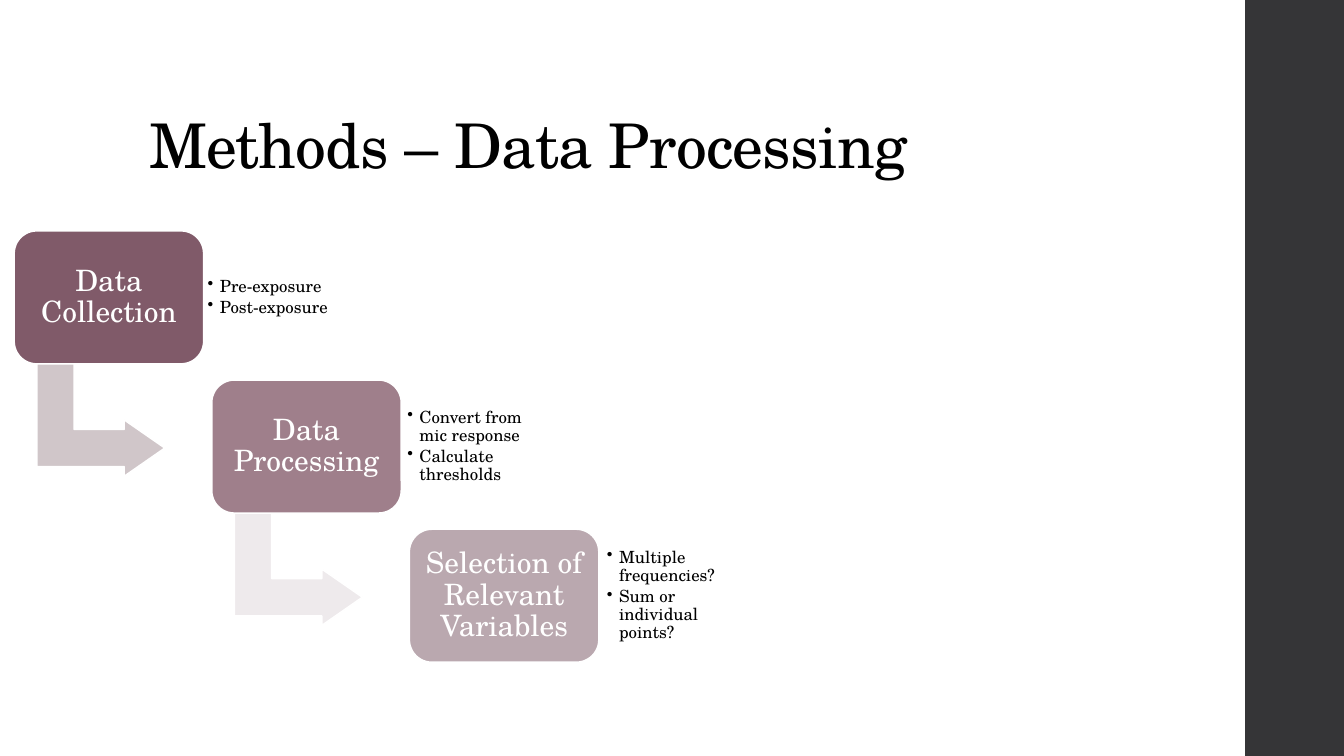
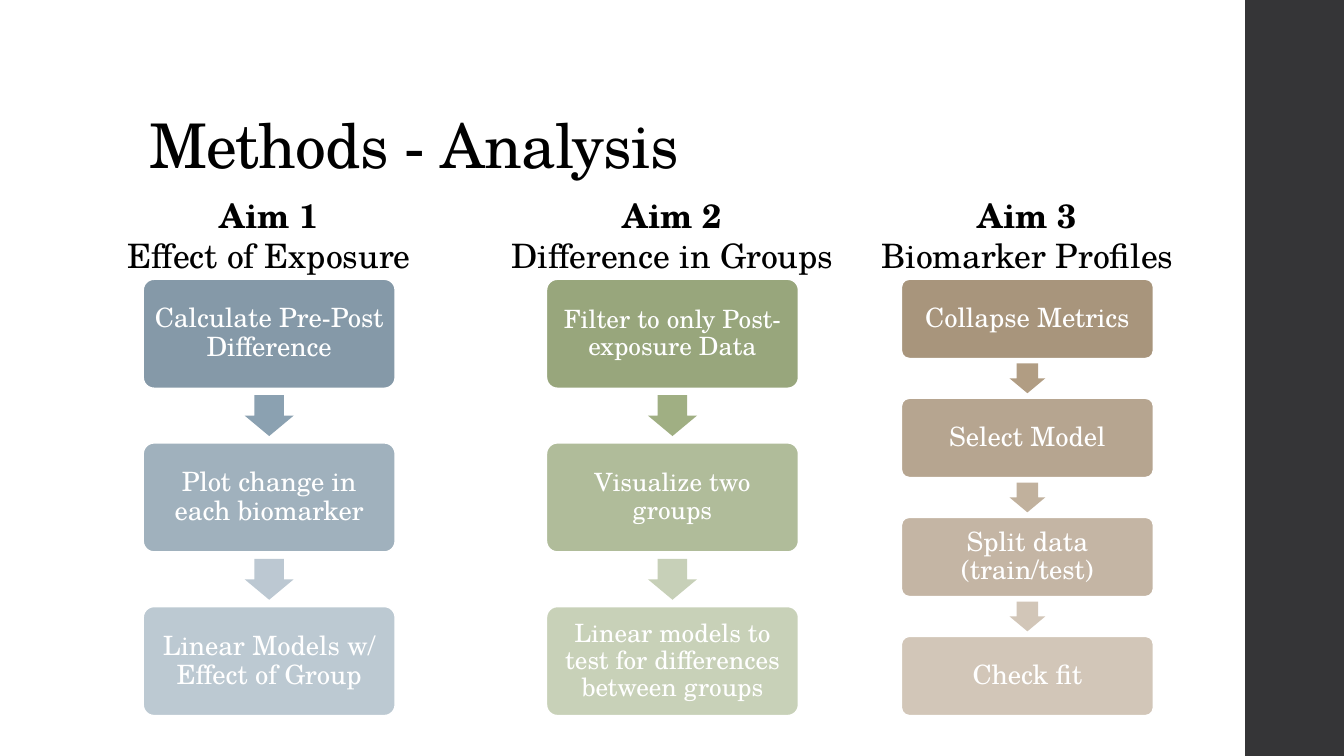
from dataclasses import dataclass

from lxml import etree
from pptx import Presentation
from pptx import util as u
from pptx.dml.color import RGBColor
from pptx.enum import shapes, text
from pptx.oxml.ns import qn

Inches, Pt = u.Inches, u.Pt
Shape = shapes.MSO_SHAPE
Align = text.PP_ALIGN
Anchor = text.MSO_ANCHOR


@dataclass(frozen=True)
class Theme:
    font: str = "TeX Gyre Schola"
    ink: str = "000000"
    paper: str = "FFFFFF"
    band: str = "353537"
    plum: tuple = ("805A69", "9F7F8B", "BAA8AF")
    plum_arrows: tuple = ("D0C6C9", "EEEAEC")
    blue: tuple = ("8599A8", "A0B1BD", "BCC9D2")
    blue_arrows: tuple = ("8BA1B1", "BCC8D2")
    green: tuple = ("98A67C", "B0BC9A", "C8D1B8")
    green_arrows: tuple = ("A0AF83", "C7D0B8")
    tan: tuple = ("A8957C", "B6A590", "C4B5A4", "D2C6B8")
    tan_arrows: tuple = ("B19D83", "C1B19D", "D2C6B8")
    title: int = 44
    heading: int = 24
    stage: int = 21
    step: int = 19
    small_step: int = 18
    bullet: int = 12
    outline: float = 1.1


class Deck:
    def __init__(self, theme):
        self.theme = theme
        self.prs = Presentation()
        self.prs.slide_width = Inches(13.33)
        self.prs.slide_height = Inches(7.5)
        self.slide = None

    def add_slide(self, title):
        first = self.slide is None
        self.slide = self.prs.slides.add_slide(self.prs.slide_layouts[5])
        if first:
            self.master_band()
        sp = self.slide.shapes.title
        sp.left, sp.top = Inches(1.38), Inches(0.4)
        sp.width, sp.height = Inches(10.6), Inches(1.45)
        tf = sp.text_frame
        tf.auto_size = text.MSO_AUTO_SIZE.NONE
        tf.vertical_anchor = Anchor.BOTTOM
        self.set_text(tf, [title], self.theme.title, self.theme.ink, Align.LEFT, 0.9)
        for props in sp.element.iter(qn("a:defRPr")):
            props.set("spc", "-50")

    def master_band(self):
        band = self.shape(Shape.RECTANGLE, 12.35, 0, 1, 7.5, self.theme.band)
        self.prs.slide_master.shapes.element.insert(2, band.element)

    def set_text(self, tf, lines, size, color, align, spacing=1.0):
        for i, line in enumerate(lines):
            p = tf.add_paragraph() if i else tf.paragraphs[0]
            p.text = line
            p.alignment = align
            p.line_spacing = spacing
            p.font.name = self.theme.font
            p.font.size = Pt(size)
            p.font.color.rgb = RGBColor.from_string(color)

    def frame(self, tf, inset):
        tf.word_wrap = True
        tf.vertical_anchor = Anchor.MIDDLE
        tf.margin_left = tf.margin_right = Inches(inset)
        tf.margin_top = tf.margin_bottom = Inches(inset)

    def shape(self, kind, x, y, w, h, fill, adjust=(), outlined=False):
        sp = self.slide.shapes.add_shape(
            kind, Inches(x), Inches(y), Inches(w), Inches(h))
        sp.shadow.inherit = False
        sp.fill.solid()
        sp.fill.fore_color.rgb = RGBColor.from_string(fill)
        if outlined:
            sp.line.color.rgb = RGBColor.from_string(self.theme.paper)
            sp.line.width = Pt(self.theme.outline)
        else:
            sp.line.fill.background()
        for i, value in enumerate(adjust):
            sp.adjustments[i] = value
        return sp

    def box(self, x, y, w, h, label, fill, size, corner):
        sp = self.shape(Shape.ROUNDED_RECTANGLE, x, y, w, h, fill, [corner], True)
        self.frame(sp.text_frame, 0.004 * size)
        self.set_text(sp.text_frame, [label], size, self.theme.paper, Align.CENTER, 0.9)

    def bent_arrow(self, x, y, fill):
        sp = self.shape(Shape.BENT_UP_ARROW, x, y, 1.12, 1.27, fill,
                        (0.33, 0.25, 0.36), True)
        sp.rotation = 90

    def textbox(self, x, y, w, h):
        box = self.slide.shapes.add_textbox(
            Inches(x), Inches(y), Inches(w), Inches(h))
        box.text_frame.word_wrap = True
        return box.text_frame

    def bullets(self, x, y, w, h, items):
        tf = self.textbox(x, y, w, h)
        self.frame(tf, 0.07)
        self.set_text(tf, items, self.theme.bullet, self.theme.ink, Align.LEFT, 0.9)
        for p in tf.paragraphs:
            p.space_after = Pt(2)
            props = p._p.get_or_add_pPr()
            props.set("marL", str(Inches(0.12)))
            props.set("indent", str(Inches(-0.12)))
            mark = etree.Element(qn("a:buChar"), char="•")
            props.find(qn("a:defRPr")).addprevious(mark)

    def heading(self, center, w, lines):
        tf = self.textbox(center - w / 2, 1.88, w, 0.91)
        self.set_text(tf, lines, self.theme.heading, self.theme.ink, Align.CENTER)
        tf.paragraphs[0].font.bold = True

    def flow(self, center, steps, fills, arrows, size):
        top, height, width = 2.77, 4.33, 2.5
        pitch = height / (len(steps) - 1 / 3)
        box_h, arrow_w, arrow_h = pitch * 2 / 3, pitch * 0.3, pitch / 4
        for i, (step, fill) in enumerate(zip(steps, fills)):
            self.box(center - width / 2, top + i * pitch, width, box_h,
                     step, fill, size, 0.1)
        for i, fill in enumerate(arrows):
            middle = top + i * pitch + (box_h + pitch) / 2
            self.shape(Shape.DOWN_ARROW, center - arrow_w / 2,
                       middle - arrow_h / 2, arrow_w, arrow_h, fill, (0.6, 0.5))


def processing_slide(deck):
    t = deck.theme
    deck.add_slide("Methods – Data Processing")
    stages = [
        ("Data Collection", 3.05, ["Pre-exposure", "Post-exposure"]),
        ("Data Processing", 1.37,
         ["Convert from mic response", "Calculate thresholds"]),
        ("Selection of Relevant Variables", 1.37,
         ["Multiple frequencies?", "Sum or individual points?"]),
    ]
    dx, dy = 1.96, 1.48
    for i, fill in enumerate(t.plum_arrows):
        deck.bent_arrow(0.44 + i * dx, 3.53 + i * dy, fill)
    for i, (label, list_w, items) in enumerate(stages):
        deck.box(0.14 + i * dx, 2.29 + i * dy, 1.88, 1.32,
                 label, t.plum[i], t.stage, 0.17)
        deck.bullets(1.99 + i * 1.98, 2.42 + i * dy, list_w, 1.06, items)


def analysis_slide(deck):
    t = deck.theme
    deck.add_slide("Methods - Analysis")
    aims = [
        (2.67, 3.68, "Effect of Exposure",
         ["Calculate Pre-Post Difference", "Plot change in each biomarker",
          "Linear Models w/ Effect of Group"],
         t.blue, t.blue_arrows, t.step),
        (6.67, 3.92, "Difference in Groups",
         ["Filter to only Post-exposure Data", "Visualize two groups",
          "Linear models to test for differences between groups"],
         t.green, t.green_arrows, t.small_step),
        (10.19, 3.34, "Biomarker Profiles",
         ["Collapse Metrics", "Select Model", "Split data (train/test)",
          "Check fit"],
         t.tan, t.tan_arrows, t.step),
    ]
    for n, (center, width, topic, steps, fills, arrows, size) in enumerate(aims, 1):
        deck.flow(center, steps, fills, arrows, size)
        deck.heading(center, width, [f"Aim {n}", topic])


def main():
    deck = Deck(Theme())
    processing_slide(deck)
    analysis_slide(deck)
    deck.prs.save("out.pptx")


if __name__ == "__main__":
    main()
